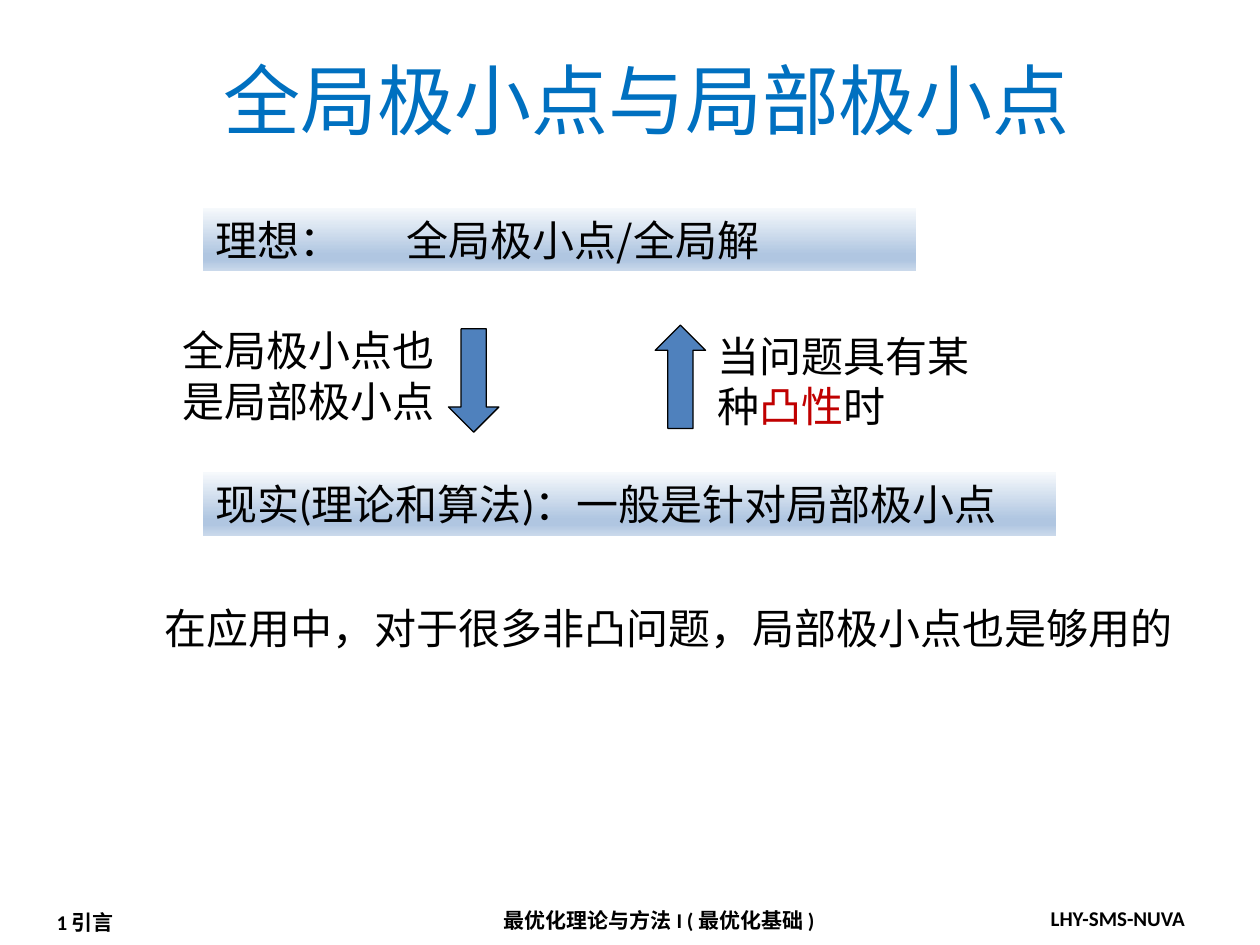
from lxml.etree import SubElement
from pptx import Presentation
from pptx.dml.color import RGBColor
from pptx.enum.shapes import MSO_SHAPE as Shape
from pptx.enum.text import MSO_ANCHOR as Anchor, PP_ALIGN as Align
from pptx.oxml.ns import qn
from pptx.util import Inches, Pt

BLACK, BLUE, RED = "000000", "0070C0", "C00000"
CJK, LATIN, SERIF = "Noto Sans CJK SC", "Calibri", "Times New Roman"

presentation = Presentation()
presentation.slide_width, presentation.slide_height = Inches(10), Inches(7.5)
column = presentation.slide_width / 100
row = presentation.slide_height / 75
slide = presentation.slides.add_slide(presentation.slide_layouts[5])


def grid(left, top, width, height):
    """Turn columns and rows into slide lengths."""
    return [round(n * unit) for n, unit in zip((left, top, width, height), (column, row) * 2)]


def write(shape, runs, size=24, bold=False, align=Align.LEFT, anchor=Anchor.TOP):
    """Fill a shape with one paragraph of (text, font, colour) runs."""
    frame = shape.text_frame
    for name, value in {"word_wrap": True, "vertical_anchor": anchor}.items():
        setattr(frame, name, value)
    paragraph = frame.paragraphs[0]
    paragraph.alignment = align
    for text, font, colour in runs:
        run = paragraph.add_run()
        run.text = text
        for name, value in {"size": Pt(size), "bold": bold, "name": font}.items():
            setattr(run.font, name, value)
        run.font.color.rgb = RGBColor.from_string(colour)
        SubElement(run.font._element, qn("a:ea"), typeface=CJK)
    return paragraph


# Title
title = slide.shapes.title
title.left, title.top, title.width, title.height = grid(5.3, 3.6, 92.1, 8.4)
write(title, [("全局极小点与局部极小点", SERIF, BLUE)], 44, align=Align.CENTER, anchor=Anchor.MIDDLE)

# Ideal and reality bands
stops = [(0, "F6F9FC"), (74, "B0C6E1"), (83, "B0C6E1"), (100, "CAD9EB")]
bands = [
    (16.5, 56.6, [("理想：\t全局极小点/全局解", CJK, BLACK)]),
    (37.5, 67.7, [("现实", CJK, BLACK), ("(理论和算法)", LATIN, BLACK),
                  ("：一般是针对局部极小点", CJK, BLACK)]),
]
for top, width, runs in bands:
    band = slide.shapes.add_shape(Shape.RECTANGLE, *grid(16.1, top, width, 5))
    band.shadow.inherit = False
    band.line.fill.background()
    band.fill.gradient()
    band.fill.gradient_angle = 270
    stop_list = band._element.spPr.find(".//" + qn("a:gsLst"))
    stop_list.clear()
    for position, colour in stops:
        stop = SubElement(stop_list, qn("a:gs"), pos=str(position * 1000))
        SubElement(stop, qn("a:srgbClr"), val=colour)
    paragraph = write(band, runs, anchor=Anchor.MIDDLE)
    tabs = SubElement(paragraph._p.get_or_add_pPr(), qn("a:tabLst"))
    SubElement(tabs, qn("a:tab"), pos=str(round(15.2 * column)), algn="l")

# Arrows between the bands
for left, top, rotation in [(52, 25.8, 180), (35.6, 26.1, 0)]:
    arrow = slide.shapes.add_shape(Shape.DOWN_ARROW, *grid(left, top, 4, 8.2))
    arrow.rotation = rotation
    arrow.shadow.inherit = False
    arrow.fill.solid()
    arrow.fill.fore_color.rgb = RGBColor.from_string("4F81BD")
    arrow.line.color.rgb = RGBColor.from_string(BLACK)
    arrow.line.width = Pt(0.75)

# Notes beside the arrows and the closing remark
notes = [
    (56, 25.7, 22, 9.1, [("当问题具有某种", CJK, BLACK), ("凸性", CJK, RED), ("时", CJK, BLACK)]),
    (13.5, 25.3, 25.2, 9.1, [("全局极小点也是局部极小点", CJK, BLACK)]),
    (12.1, 47.3, 82.6, 5, [("在应用中，对于很多非凸问题，局部极小点也是够用的", CJK, BLACK)]),
]
for *box, runs in notes:
    write(slide.shapes.add_textbox(*grid(*box)), runs)

# Footer
footers = [
    (3.5, 71.7, 29.1, "1 引言"),
    (39, 71.5, 31.7, "最优化理论与方法 I ( 最优化基础 )"),
    (82.4, 71.4, 17.2, "LHY-SMS-NUVA"),
]
for left, top, width, text in footers:
    footer = slide.shapes.add_textbox(*grid(left, top, width, 3))
    write(footer, [(text, LATIN, BLACK)], 12, bold=True, anchor=Anchor.MIDDLE)

presentation.save("out.pptx")
